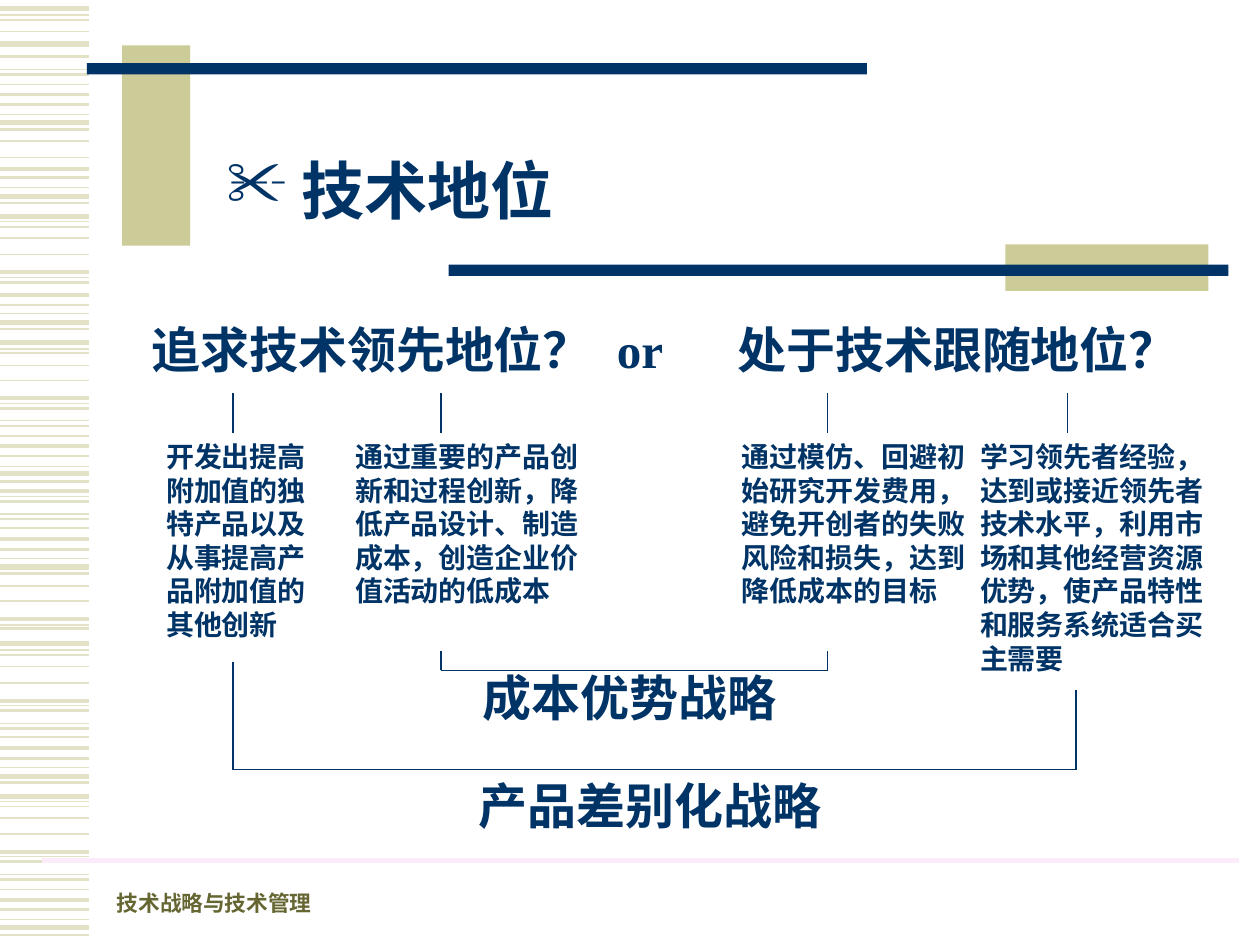
import dataclasses

import pptx
import pptx.dml.color
import pptx.enum.shapes
import pptx.enum.text
import pptx.oxml.ns
import pptx.util
from lxml import etree
from pptx.util import Inches

ALIGN = pptx.enum.text.PP_ALIGN
ANCHOR = pptx.enum.text.MSO_ANCHOR


@dataclasses.dataclass(frozen=True)
class Theme:
    """Colours, fonts and type sizes of the slide."""
    navy: str = "003366"
    khaki: str = "CCCC99"
    stripe: str = "E3E2C7"
    rule: str = "FBEBFB"
    olive: str = "666633"
    latin: str = "Times New Roman"
    chinese: str = "Noto Sans CJK SC"
    title: float = 36
    heading: float = 28
    body: float = 16
    footer: float = 12.4
    leading: float = 1.2


THEME = Theme()

STRIPES = {
    0.75: (0.12, 0.55, 0.91, 1.49, 1.76, 2.2, 2.49, 2.77, 3.2, 3.34, 3.7, 3.94, 4.08, 4.43,
           4.96, 5.16, 5.6, 5.74, 6.09, 6.36, 6.8, 6.94, 7.3),
    1: (0.16, 0.25, 0.67, 1.12, 1.25, 1.8, 1.89, 2.02, 2.8, 2.9, 3.02, 3.46, 4.19, 4.65,
        4.77, 5.2, 5.29, 5.42, 5.85, 6.4, 6.49, 6.62, 7.06),
    1.5: (0.45, 0.59, 0.83, 1.03, 1.41, 1.61, 2.24, 2.42, 2.61, 3.24, 3.38, 3.62, 3.82, 3.98,
          4.12, 4.36, 4.55, 4.99, 5.64, 5.78, 6.02, 6.21, 6.84, 6.98, 7.22, 7.42),
    2.25: (0.75, 1.34, 2.16, 2.34, 3.16, 3.54, 3.9, 4.28, 4.91, 5.56, 5.94, 6.76, 7.14),
    3: (0.07, 0.35, 0.97, 1.56, 1.72, 2.56, 2.72, 3.76, 4.5, 5.11, 6.16, 6.32, 7.36),
}

QUESTIONS = (("追求技术领先地位？", 0.98, 3.94), ("or", 4.61, 0.94), ("处于技术跟随地位？", 5.63, 3.94))

REASONS = (
    ("开发出提高附加值的独特产品以及从事提高产品附加值的其他创新", 1.22, 1.42, 1.7, 1.85),
    ("通过重要的产品创新和过程创新，降低产品设计、制造成本，创造企业价值活动的低成本", 2.72, 2.05, 1.44, 3.5),
    ("通过模仿、回避初始研究开发费用，避免开创者的失败风险和损失，达到降低成本的目标", 5.79, 1.97, 1.7, 6.57),
    ("学习领先者经验，达到或接近领先者技术水平，利用市场和其他经营资源优势，使产品特性和服务系统适合买主需要",
     7.68, 2.13, 1.97, 8.47),
)


def rgb(colour):
    """Turn a hex string into a colour."""
    return pptx.dml.color.RGBColor.from_string(colour)


def apply(target, formats):
    """Set each attribute of the target from a dict."""
    for name, value in formats.items():
        setattr(target, name, value)


def draw_line(slide, start, end, colour=THEME.navy, weight=0.75):
    """Draw a straight line between two points in inches."""
    line = slide.shapes.add_connector(pptx.enum.shapes.MSO_CONNECTOR.STRAIGHT,
                                      *(Inches(value) for value in (*start, *end)))
    line.line.color.rgb = rgb(colour)
    line.line.width = pptx.util.Pt(weight)
    etree.SubElement(line._element.spPr, pptx.oxml.ns.qn("a:effectLst"))


def draw_bar(slide, box, colour):
    """Draw a plain filled rectangle."""
    bar = slide.shapes.add_shape(pptx.enum.shapes.MSO_SHAPE.RECTANGLE, *map(Inches, box))
    bar.shadow.inherit = False
    bar.fill.solid()
    bar.fill.fore_color.rgb = rgb(colour)
    bar.line.fill.background()


def write(holder, text, size, colour=THEME.navy, align=ALIGN.CENTER, anchor=ANCHOR.TOP, wrap=True):
    """Write one bold paragraph into a shape and return it."""
    apply(holder.text_frame, {"text": text, "word_wrap": wrap, "vertical_anchor": anchor,
                              "auto_size": pptx.enum.text.MSO_AUTO_SIZE.NONE})
    paragraph = holder.text_frame.paragraphs[0]
    apply(paragraph, {"alignment": align, "line_spacing": pptx.util.Pt(size * THEME.leading)})
    font = paragraph.runs[0].font
    apply(font, {"name": THEME.latin, "size": pptx.util.Pt(size), "bold": True})
    font.color.rgb = rgb(colour)
    east_asian = etree.SubElement(font._element, pptx.oxml.ns.qn("a:ea"))
    east_asian.set("typeface", THEME.chinese)
    return paragraph


def add_text(slide, box, text, size, **formats):
    """Add a text box in the given box."""
    write(slide.shapes.add_textbox(*map(Inches, box)), text, size, **formats)


def build_stripes(slide, box):
    """Fill the left margin with fine horizontal stripes."""
    left, top, width, _ = box
    for weight, heights in STRIPES.items():
        for height in heights:
            draw_line(slide, (left, top + height), (left + width, top + height), THEME.stripe, weight)


def build_title(slide, box):
    """Place the title between its two crossed bar pairs."""
    left, top, width, height = box
    right, bottom = left + width, top + height
    bar_width, bar_height = 6.19, 0.09
    draw_bar(slide, (left + 0.28, top, 0.54, 1.59), THEME.khaki)
    draw_bar(slide, (left, top + 0.14, bar_width, bar_height), THEME.navy)
    draw_bar(slide, (right - 1.77, bottom - 0.37, 1.61, 0.37), THEME.khaki)
    draw_bar(slide, (right - bar_width, bottom - 0.21, bar_width, bar_height), THEME.navy)
    title = slide.shapes.title
    apply(title, dict(zip(("left", "top", "width", "height"),
                          map(Inches, (left + 0.94, top + 0.79, 2.93, 0.7)))))
    properties = write(title, " 技术地位", THEME.title, wrap=False)._p.get_or_add_pPr()
    bullet_colour = etree.SubElement(properties, pptx.oxml.ns.qn("a:buClr"))
    etree.SubElement(bullet_colour, pptx.oxml.ns.qn("a:srgbClr")).set("val", THEME.navy)
    etree.SubElement(properties, pptx.oxml.ns.qn("a:buChar")).set("char", "✂")


def build_bracket(slide, left, right, bottom):
    """Join two columns, given as (x, top), by a bracket open at the top."""
    for x, top in (left, right):
        draw_line(slide, (x, top), (x, bottom))
    draw_line(slide, (left[0], bottom), (right[0], bottom))


def build_strategies(slide, box):
    """Lay out the two questions, their reasons and the resulting strategies."""
    left, top, _, _ = box
    heading_height = 0.57
    stem_top, reason_top = top + 0.63, top + 0.95
    for question, x, width in QUESTIONS:
        add_text(slide, (left + x, top, width, heading_height), question, THEME.heading)
    for reason, x, width, height, stem in REASONS:
        add_text(slide, (left + x, reason_top, width, height), reason, THEME.body, align=ALIGN.LEFT)
        draw_line(slide, (left + stem, stem_top), (left + stem, reason_top))
    build_bracket(slide, (left + 3.5, top + 2.68), (left + 6.57, top + 2.68), top + 2.83)
    build_bracket(slide, (left + 1.85, top + 2.76), (left + 8.54, top + 2.99), top + 3.62)
    add_text(slide, (left + 3.5, top + 2.76, 2.99, heading_height), "成本优势战略", THEME.heading)
    add_text(slide, (left + 3.35, top + 3.62, 3.62, heading_height), "产品差别化战略", THEME.heading)


def build_footer(slide, box):
    """Draw the footer rule and the course name below it."""
    left, top, width, _ = box
    draw_line(slide, (left, top), (left + width, top), THEME.rule, 3)
    add_text(slide, (left + 0.5, top + 0.15, 2.6, 0.34), "技术战略与技术管理", THEME.footer,
             colour=THEME.olive, align=ALIGN.LEFT, anchor=ANCHOR.BOTTOM)


def main():
    """Build the slide and save it."""
    deck = pptx.Presentation()
    apply(deck, {"slide_width": Inches(10), "slide_height": Inches(7.5)})
    slide = deck.slides.add_slide(deck.slide_layouts[5])
    build_stripes(slide, (0, 0, 0.71, 7.5))
    build_title(slide, (0.69, 0.36, 9.06, 1.95))
    build_strategies(slide, (0, 2.49, 10, 4.2))
    build_footer(slide, (0.33, 6.83, 9.5, 0.5))
    deck.save("out.pptx")


if __name__ == "__main__":
    main()
